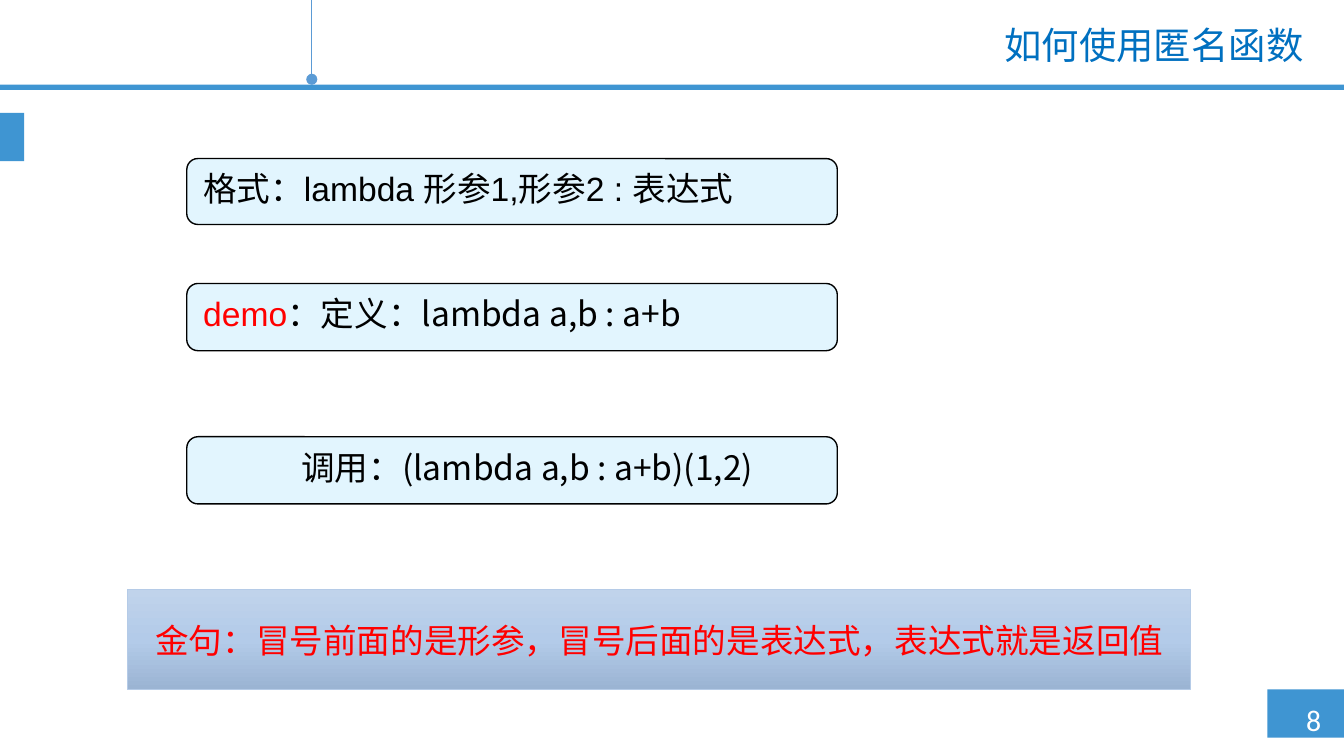
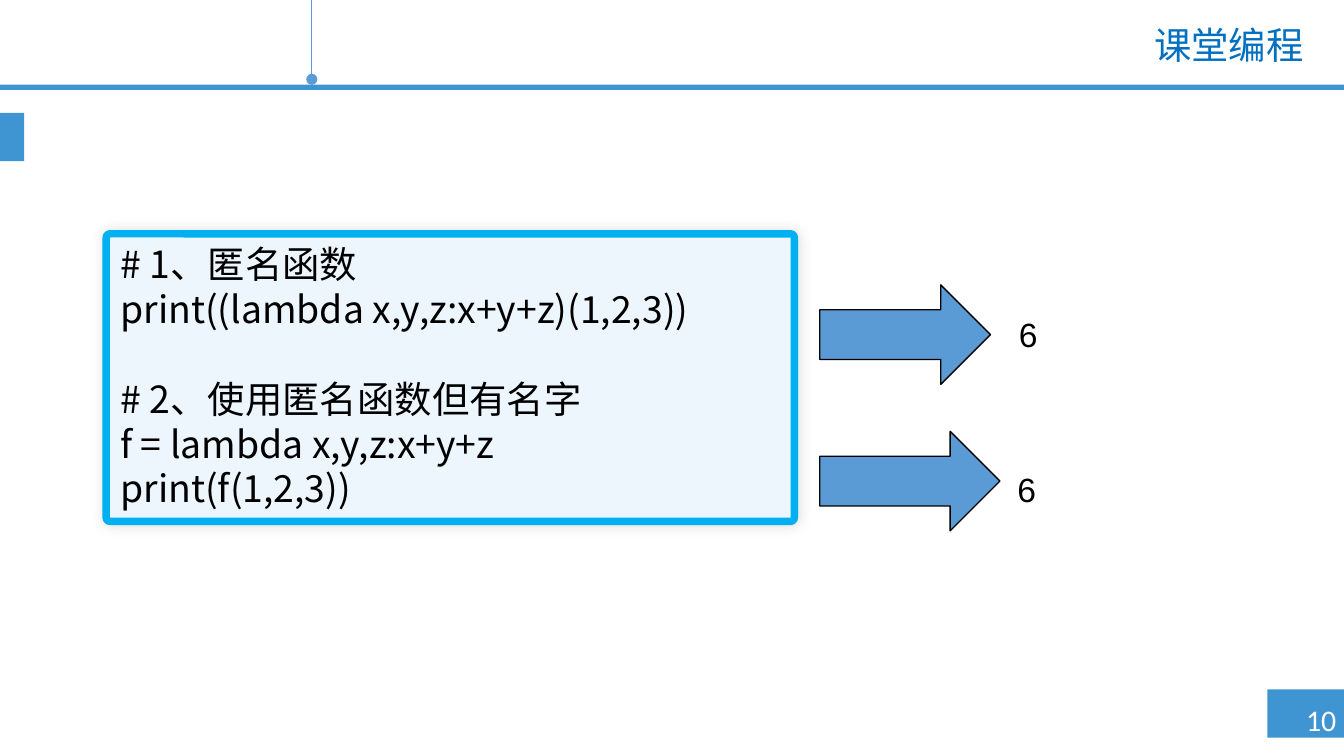
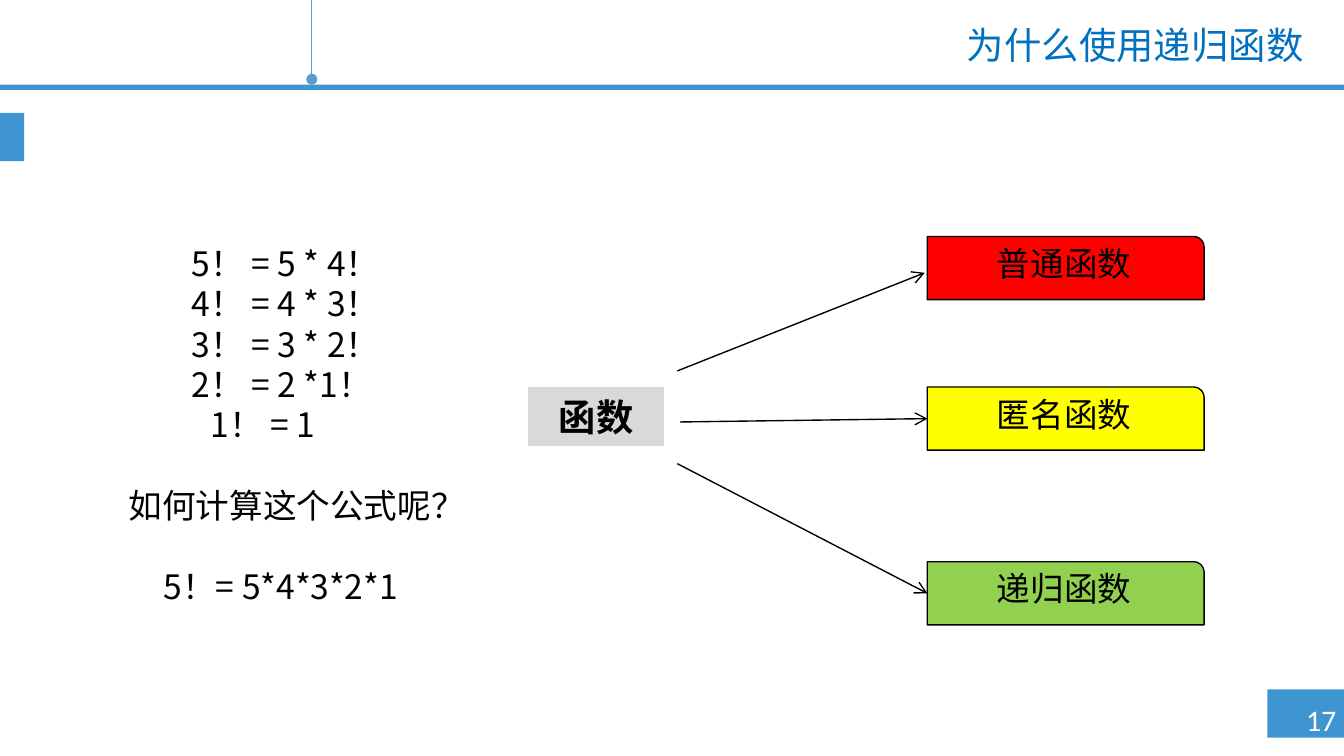
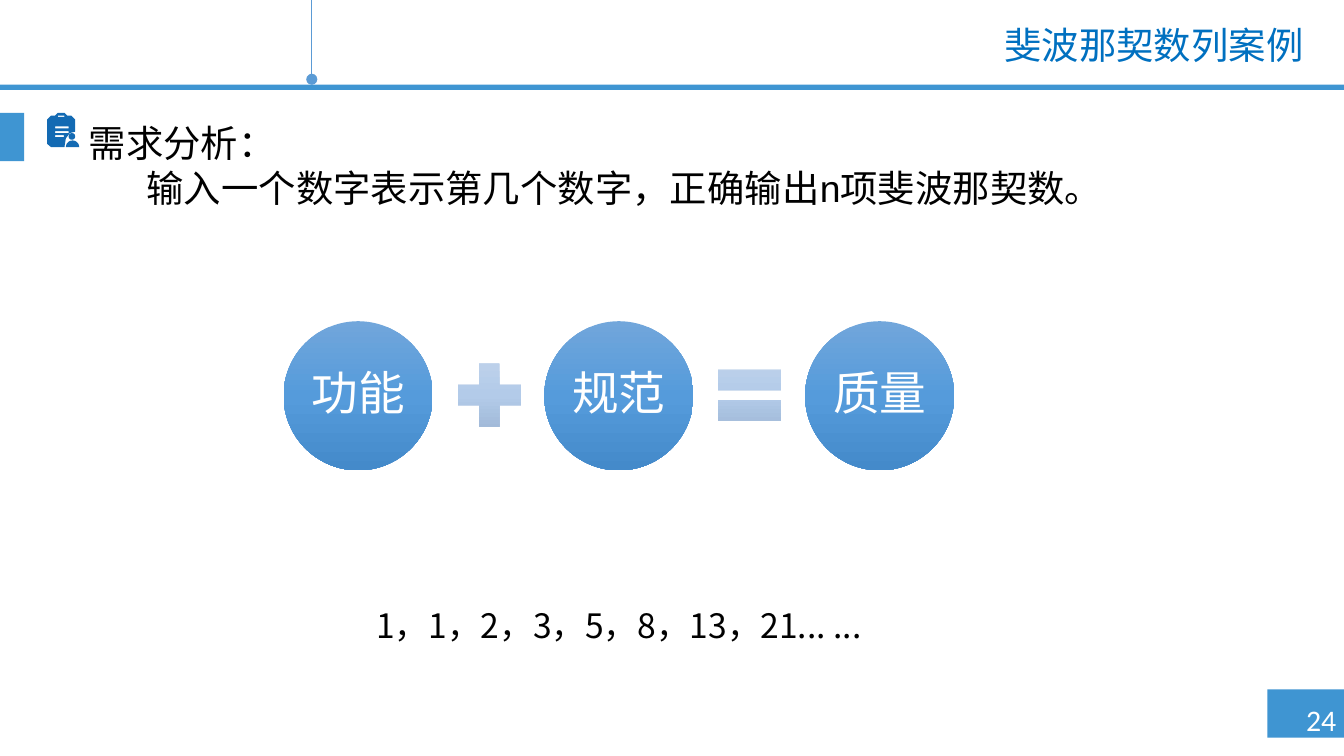
import math

from lxml import etree
from pptx import Presentation
from pptx.dml.color import RGBColor
from pptx.enum import shapes as kinds, text as textual
from pptx.oxml.ns import qn
from pptx.util import Inches, Pt

COLORS = {
    "band": "3F95D2", "accent": "5B9BD5", "title": "0070C0", "icon": "136AB3",
    "black": "000000", "white": "FFFFFF", "red": "FF0000", "yellow": "FFFF00",
    "green": "92D050", "gray": "D9D9D9", "syntax": "E2F5FE",
    "code": "EDF5FD", "code_edge": "00B0F0", "motto_edge": "B5CBE7",
}
PALE_GRADIENT = ("C0D3EB", "B3CBE9", "9BB4D3")
BLUE_GRADIENT = ("71A6DB", "559BDB", "448ACA")
CJK, ARIAL, CALIBRI, LATO = "Noto Sans CJK SC", "Arial", "Calibri", "Lato"
PRESET = kinds.MSO_SHAPE
LEFT, CENTER, RIGHT = (textual.PP_ALIGN.LEFT, textual.PP_ALIGN.CENTER,
                       textual.PP_ALIGN.RIGHT)
TOP, MIDDLE = textual.MSO_ANCHOR.TOP, textual.MSO_ANCHOR.MIDDLE


def rgb(name):
    return RGBColor.from_string(COLORS[name])


def inches(*lengths):
    return [Inches(length) for length in lengths]


def add_paragraph(frame, runs, size=18, align=LEFT, indent=0, before=0, spacing=1.0):
    """Write runs of (text, font, colour) as the next paragraph of the frame."""
    paragraph = frame.add_paragraph() if frame.text else frame.paragraphs[0]
    properties = paragraph._p.get_or_add_pPr()
    properties.set("marL", str(Inches(indent)))
    properties.set("indent", "0")
    etree.SubElement(properties, qn("a:buNone"))
    paragraph.alignment = align
    paragraph.line_spacing = spacing
    paragraph.space_before = Pt(before)
    for words, font, color in runs:
        run = paragraph.add_run()
        run.text = words
        run.font.size = Pt(size)
        run.font.name = font
        run.font.color.rgb = rgb(color)
        etree.SubElement(run.font._element, qn("a:ea"), typeface=CJK)
    return paragraph


def fill_gradient(shape, stops):
    shape.fill.gradient()
    shape.fill.gradient_angle = 270
    stop_list = shape.element.spPr.find(".//" + qn("a:gsLst"))
    stop_list.clear()
    for index, color in enumerate(stops):
        stop = etree.SubElement(stop_list, qn("a:gs"), pos=str(index * 50000))
        etree.SubElement(stop, qn("a:srgbClr"), val=color)


def paint(shape, fill, line=None, width=0.75):
    """Fill with a named colour or a tuple of gradient stops."""
    shape.shadow.inherit = False
    if isinstance(fill, tuple):
        fill_gradient(shape, fill)
    else:
        shape.fill.solid()
        shape.fill.fore_color.rgb = rgb(fill)
    if line:
        shape.line.color.rgb = rgb(line)
        shape.line.width = Pt(width)
    else:
        shape.line.fill.background()
    return shape


def add_block(parent, preset, box, fill, line=None, width=0.75, anchor=TOP):
    block = paint(parent.add_shape(preset, *inches(*box)), fill, line, width)
    block.text_frame.word_wrap = True
    block.text_frame.vertical_anchor = anchor
    return block


def add_text_frame(slide, box):
    frame = slide.shapes.add_textbox(*inches(*box)).text_frame
    frame.word_wrap = True
    return frame


def add_line(slide, start, end, color, tip):
    line = slide.shapes.add_connector(kinds.MSO_CONNECTOR.STRAIGHT, *inches(*start, *end))
    line.line.color.rgb = rgb(color)
    line.line.width = Pt(0.75)
    etree.SubElement(line.line._get_or_add_ln(), qn("a:tailEnd"), type=tip)
    etree.SubElement(line.element.spPr, qn("a:effectLst"))
    return line


def place(placeholder, box):
    (placeholder.left, placeholder.top,
     placeholder.width, placeholder.height) = inches(*box)
    frame = placeholder.text_frame
    frame.word_wrap = True
    frame.auto_size = textual.MSO_AUTO_SIZE.NONE
    frame.vertical_anchor = TOP
    return frame


def start_slide(deck, title, page, layout=5, title_height=0.4):
    """Add a slide with the shared bands, hanging line, page number and title."""
    slide = deck.slides.add_slide(deck.slide_layouts[layout])
    for band in ((9.43, 5.13, 0.57, 0.36), (0, 0.63, 10, 0.04), (0, 0.84, 0.18, 0.36)):
        add_block(slide.shapes, PRESET.RECTANGLE, band, "band")
    add_line(slide, (2.32, 0), (2.32, 0.59), "accent", "oval")
    add_paragraph(add_text_frame(slide, (9.62, 5.17, 0.52, 0.37)),
                  [(str(page), CALIBRI, "white")], 16)
    add_paragraph(place(slide.shapes.title, (2.4, 0.15, 7.4, title_height)),
                  [(title, LATO, "title")], 20, RIGHT, spacing=0.9)
    return slide


def add_syntax_row(slide, top, height, runs, indent=0):
    row = add_block(slide.shapes, PRESET.ROUNDED_RECTANGLE, (1.39, top, 4.84, height),
                    "syntax", "black")
    add_paragraph(row.text_frame, runs, indent=indent)


def build_lambda_usage(deck):
    slide = start_slide(deck, "如何使用匿名函数", 8, title_height=0.71)
    motto = add_block(slide.shapes, PRESET.RECTANGLE, (0.95, 4.39, 7.91, 0.74),
                      PALE_GRADIENT, "motto_edge", 0.5, MIDDLE)
    add_paragraph(motto.text_frame,
                  [("金句：冒号前面的是形参，冒号后面的是表达式，表达式就是返回值", CJK, "red")],
                  align=CENTER)
    add_syntax_row(slide, 1.18, 0.49,
                   [("格式：lambda 形参1,形参2 : 表达式", ARIAL, "black")])
    add_syntax_row(slide, 2.11, 0.5,
                   [("demo", ARIAL, "red"), ("：定义：", ARIAL, "black"),
                    ("lambda a,b : a+b", CJK, "black")])
    add_syntax_row(slide, 3.25, 0.5,
                   [("调用：", ARIAL, "black"),
                    ("(lambda a,b : a+b)(1,2)", CJK, "black")], indent=0.73)


def add_halo(shape):
    """Give the shape a faint soft shadow on all sides."""
    effects = shape.element.spPr.find(qn("a:effectLst"))
    halo = etree.SubElement(effects, qn("a:outerShdw"), blurRad=str(Pt(7)))
    color = etree.SubElement(halo, qn("a:srgbClr"), val=COLORS["black"])
    etree.SubElement(color, qn("a:alpha"), val="12000")


def add_code(slide, box, sections):
    panel = add_block(slide.shapes, PRESET.ROUNDED_RECTANGLE, box, "code", "code_edge", 4)
    panel.adjustments[0] = 0.013
    add_halo(panel)
    for number, section in enumerate(sections):
        for position, code in enumerate(section):
            add_paragraph(panel.text_frame, [(code, CJK, "black")], 20,
                          before=24 if number and not position else 0)


def build_class_exercise(deck):
    slide = start_slide(deck, "课堂编程", 10)
    add_code(slide, (0.79, 1.74, 5.12, 2.14), (
        ("# 1、匿名函数", "print((lambda x,y,z:x+y+z)(1,2,3))"),
        ("# 2、使用匿名函数但有名字", "f = lambda x,y,z:x+y+z", "print(f(1,2,3))")))
    for arrow_box, result_box in (
            ((6.1, 2.12, 1.27, 0.74), (7.48, 2.29, 0.34, 0.4)),
            ((6.1, 3.21, 1.34, 0.74), (7.37, 3.44, 0.54, 0.4))):
        add_block(slide.shapes, PRESET.RIGHT_ARROW, arrow_box, "accent", "black")
        add_paragraph(add_text_frame(slide, result_box), [("6", ARIAL, "black")],
                      align=CENTER)


def add_function_tree(slide, left, top):
    root = add_block(slide.shapes, PRESET.RECTANGLE, (left, top + 1.12, 1.01, 0.44),
                     "gray", anchor=MIDDLE)
    heading = add_paragraph(root.text_frame, [("函数", ARIAL, "black")], 20, CENTER)
    heading.runs[0].font.bold = True
    branches = (("普通函数", "red", 0, (1.11, 1.0), (2.95, 0.27)),
                ("匿名函数", "yellow", 1.12, (1.13, 1.38), None),
                ("递归函数", "green", 2.42, (1.11, 1.69), None))
    for name, color, drop, (start_x, start_y), free_end in branches:
        branch = add_block(slide.shapes, PRESET.ROUND_1_RECTANGLE,
                           (left + 2.97, top + drop, 2.06, 0.47), color, "black")
        add_paragraph(branch.text_frame, [(name, ARIAL, "black")], align=CENTER)
        end_x, end_y = free_end or (2.97, drop + 0.23)
        arrow = add_line(slide, (left + start_x, top + start_y),
                         (left + end_x, top + end_y), "black", "arrow")
        if not free_end:
            arrow.end_connect(branch, 1)


def build_recursion_reason(deck):
    slide = start_slide(deck, "为什么使用递归函数", 17)
    add_function_tree(slide, 3.93, 1.76)
    factorials = add_text_frame(slide, (0.45, 1.76, 3.14, 2.83))
    for formula, indent, before in (
            ("5！ = 5 * 4！", 0.88, 0), ("4！ = 4 * 3！", 0.88, 0),
            ("3！ = 3 * 2！", 0.88, 0), ("2！ = 2 *1！", 0.88, 0),
            ("1！ = 1", 1.02, 0), ("如何计算这个公式呢？", 0.41, 21.6),
            ("5！= 5*4*3*2*1", 0.67, 21.6)):
        add_paragraph(factorials, [(formula, CJK, "black")], indent=indent, before=before)


def add_outline(parent, origin, contours):
    """Draw closed contours, given in thousandths of an inch from the origin."""
    builder = parent.build_freeform(*contours[0][0], scale=914.4)
    builder.add_line_segments(contours[0][1:], close=True)
    for contour in contours[1:]:
        builder.move_to(*contour[0])
        builder.add_line_segments(contour[1:], close=True)
    paint(builder.convert_to_shape(*inches(*origin)), "icon")


def add_clipboard_icon(slide, left, top):
    icon = slide.shapes.add_group_shape().shapes
    board = [(210, 140), (210, 50), (180, 20), (150, 20), (130, 0), (80, 0), (60, 20),
             (30, 20), (0, 50), (0, 230), (30, 255), (130, 255), (140, 190), (170, 150)]
    slots = [(80, 20, 130, 30), (60, 100, 160, 115), (60, 135, 160, 150),
             (60, 165, 125, 180)]
    holes = [[(x1, y1), (x1, y2), (x2, y2), (x2, y1)] for x1, y1, x2, y2 in slots]
    add_outline(icon, (left, top), [board] + holes)
    add_block(icon, PRESET.OVAL, (left + 0.16, top + 0.15, 0.05, 0.05), "icon")
    angles = [math.pi * step / 12 for step in range(13)]
    shoulders = [(round(190 + 50 * math.cos(angle)), round(255 - 50 * math.sin(angle)))
                 for angle in angles]
    add_outline(icon, (left, top), [shoulders])


def add_quality_equation(slide, left, top):
    equation = slide.shapes.add_group_shape().shapes
    terms = (("功能", PRESET.MATH_PLUS), ("规范", PRESET.MATH_EQUAL), ("质量", None))
    for index, (term, operator) in enumerate(terms):
        x = left + index * 1.94
        circle = add_block(equation, PRESET.OVAL, (x, top, 1.11, 1.11),
                           BLUE_GRADIENT, anchor=MIDDLE)
        frame = circle.text_frame
        frame.margin_left = frame.margin_right = Inches(0.03)
        frame.margin_top = frame.margin_bottom = Inches(0.03)
        add_paragraph(frame, [(term, CALIBRI, "white")], 25, CENTER, spacing=0.9)
        if operator:
            add_block(equation, operator, (x + 1.21, top + 0.23, 0.64, 0.64),
                      PALE_GRADIENT)


def build_fibonacci_case(deck):
    slide = start_slide(deck, "斐波那契数列案例", 24, layout=1)
    analysis = place(slide.placeholders[1], (0.56, 0.84, 8.19, 0.39))
    analysis.margin_top = Inches(0.09)
    add_paragraph(analysis, [("需求分析：", ARIAL, "black")], 20, spacing=0.9)
    add_paragraph(analysis,
                  [("输入一个数字表示第几个数字，正确输出n项斐波那契数。", ARIAL, "black")],
                  20, indent=0.43, before=2.5, spacing=0.9)
    add_clipboard_icon(slide, 0.35, 0.84)
    add_quality_equation(slide, 2.11, 2.39)
    add_paragraph(add_text_frame(slide, (2.68, 4.45, 3.85, 0.4)),
                  [("1，1，2，3，5，8，13，21... ...", CJK, "black")], align=CENTER)


def main():
    deck = Presentation()
    deck.slide_width = Inches(10)
    deck.slide_height = deck.slide_width * 9 // 16
    build_lambda_usage(deck)
    build_class_exercise(deck)
    build_recursion_reason(deck)
    build_fibonacci_case(deck)
    deck.save("out.pptx")


if __name__ == "__main__":
    main()
